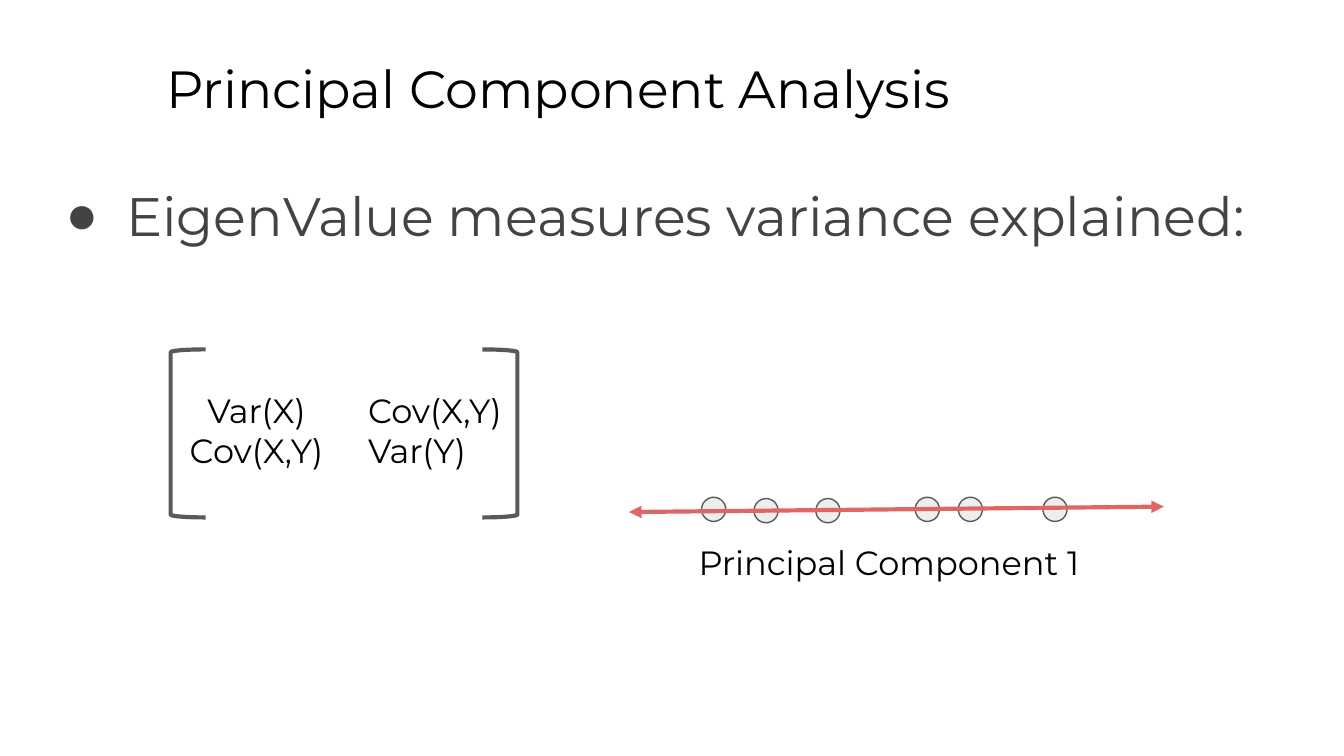
from lxml.etree import SubElement
from pptx import Presentation
from pptx.dml.color import RGBColor
from pptx.enum.shapes import MSO_CONNECTOR, MSO_SHAPE
from pptx.enum.text import MSO_ANCHOR
from pptx.oxml.ns import qn
from pptx.util import Pt

EMU_PER_PX = 9144
FONT = "Montserrat"
BULLET_FONT = "Arial"
COLORS = {
    "black": "000000",
    "body": "434343",
    "outline": "595959",
    "point": "EEEEEE",
    "axis": "E06666",
}


def px(length):
    return length * EMU_PER_PX


def rgb(name):
    return RGBColor.from_string(COLORS[name])


class SlideBuilder:
    """Draws styled elements on the current slide."""

    def __init__(self, slide):
        self.slide = slide

    def text(self, box, words, size, color="black", bullet=None, tabs=()):
        frame = self.slide.shapes.add_textbox(*map(px, box)).text_frame
        frame.word_wrap = True
        frame.vertical_anchor = MSO_ANCHOR.TOP
        frame.margin_left = frame.margin_right = px(10)
        frame.margin_top = frame.margin_bottom = px(10)
        frame.text = words
        for paragraph in frame.paragraphs:
            properties = paragraph._p.get_or_add_pPr()
            if bullet:
                properties.set("marL", str(px(50)))
                properties.set("indent", str(px(-45)))
                bullet_color = SubElement(properties, qn("a:buClr"))
                SubElement(bullet_color, qn("a:srgbClr"), val=COLORS[color])
                SubElement(properties, qn("a:buFont"), typeface=BULLET_FONT)
                SubElement(properties, qn("a:buChar"), char=bullet)
            if tabs:
                tab_list = SubElement(properties, qn("a:tabLst"))
                for position, align in tabs:
                    SubElement(tab_list, qn("a:tab"), pos=str(px(position)), algn=align)
            for run in paragraph.runs:
                run.font.name = FONT
                run.font.size = Pt(size)
                run.font.color.rgb = rgb(color)

    def shape(self, kind, box, line_width, fill=None):
        shape = self.slide.shapes.add_shape(kind, *map(px, box))
        shape.shadow.inherit = False
        if fill:
            shape.fill.solid()
            shape.fill.fore_color.rgb = rgb(fill)
        else:
            shape.fill.background()
        shape.line.color.rgb = rgb("outline")
        shape.line.width = Pt(line_width)
        return shape

    def point(self, left, top):
        self.shape(MSO_SHAPE.OVAL, (left, top, 18, 18), 0.75, "point").rotation = 36.9

    def bracket(self, kind, left):
        self.shape(kind, (left, 260, 26, 125), 2.25).adjustments[0] = 0.08

    def double_arrow(self, start, end):
        arrow = self.slide.shapes.add_connector(
            MSO_CONNECTOR.STRAIGHT, *map(px, (*start, *end))
        )
        arrow.line.color.rgb = rgb("axis")
        arrow.line.width = Pt(2.25)
        line = arrow.line._get_or_add_ln()
        for arrowhead in ("a:headEnd", "a:tailEnd"):
            SubElement(line, qn(arrowhead), type="triangle")
        SubElement(arrow._element.spPr, qn("a:effectLst"))


def main():
    presentation = Presentation()
    presentation.slide_width = px(1000)
    presentation.slide_height = px(1000) * 9 // 16
    builder = SlideBuilder(presentation.slides.add_slide(presentation.slide_layouts[6]))

    builder.text((114, 32, 852, 63), "Principal Component Analysis", 28)
    builder.text(
        (34, 126, 950, 374), "EigenValue measures variance explained:", 29, "body", bullet="●"
    )
    for left, top in ((561, 371), (681, 370), (713, 370), (607, 371), (522, 370), (776, 370)):
        builder.point(left, top)

    covariance_rows = (("Var(X)", "Cov(X,Y)"), ("Cov(X,Y)", "Var(Y)"))
    covariance_matrix = "\n".join("\t" + "\t".join(row) for row in covariance_rows)
    builder.text((119, 280, 288, 80), covariance_matrix, 18, tabs=((62, "ctr"), (145, "l")))
    builder.bracket(MSO_SHAPE.LEFT_BRACKET, 127)
    builder.bracket(MSO_SHAPE.RIGHT_BRACKET, 359)

    builder.double_arrow((468, 381), (866, 377))
    builder.text((510, 393, 342, 50), "Principal Component 1", 18)
    presentation.save("out.pptx")


if __name__ == "__main__":
    main()
